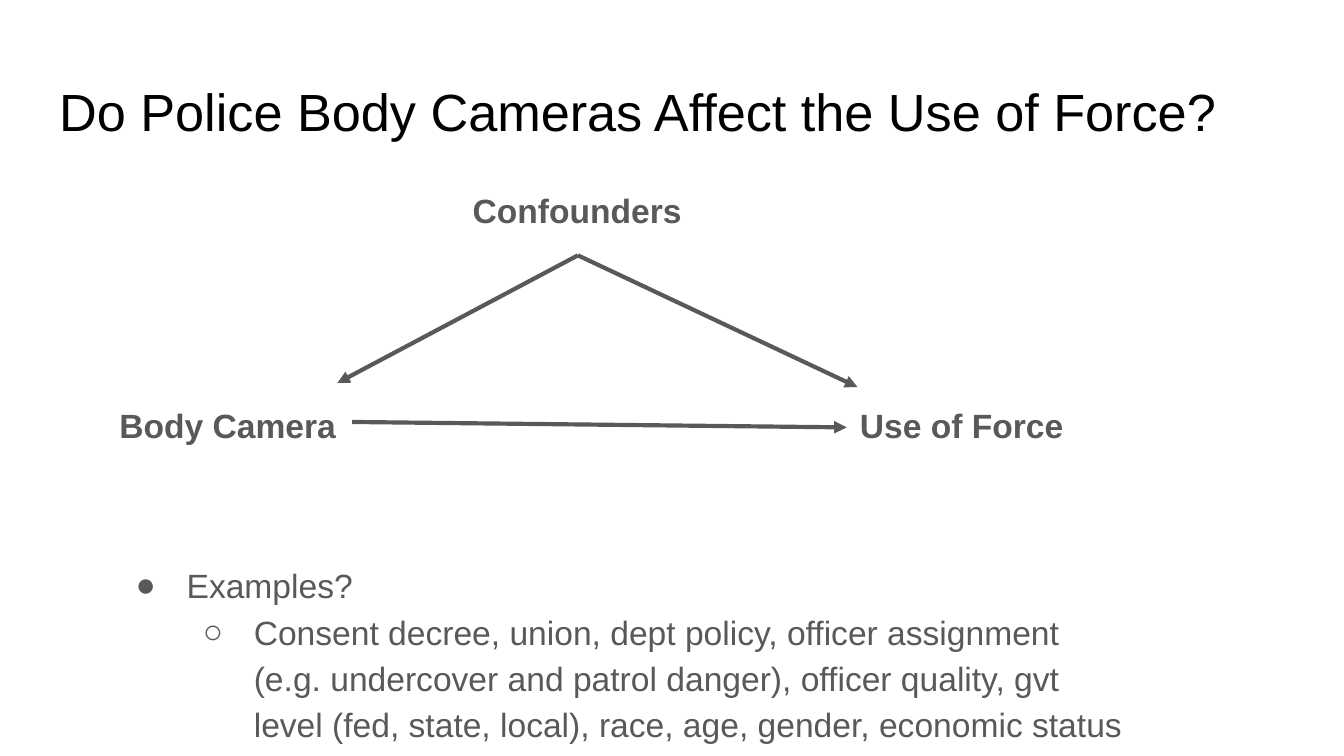
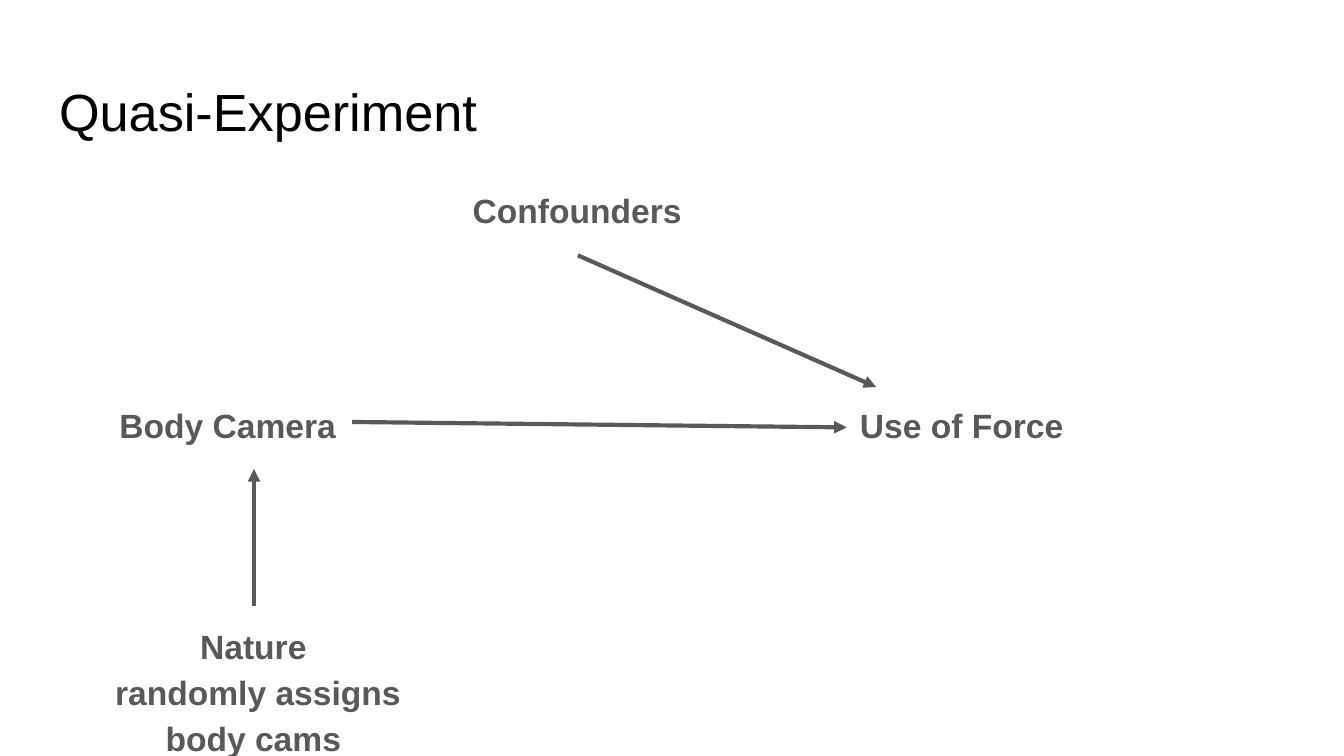
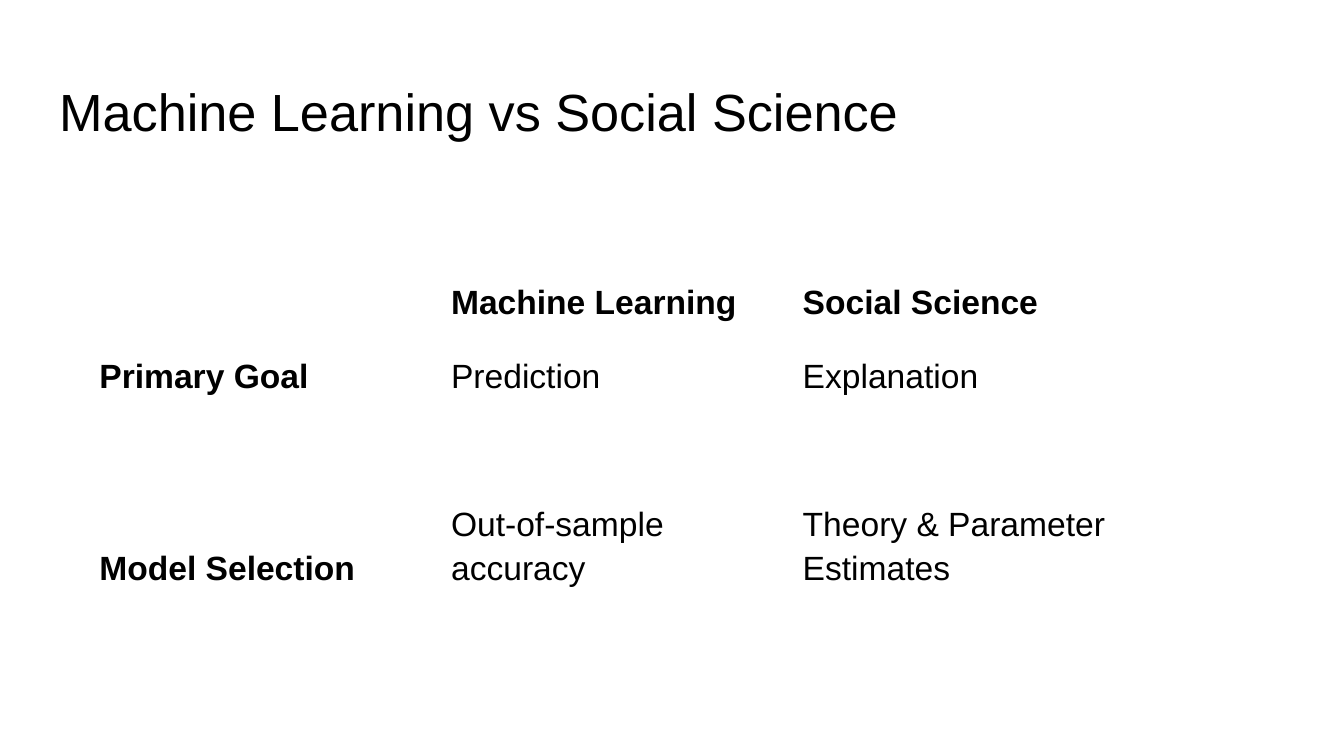
from dataclasses import dataclass

import lxml.etree
import pptx
import pptx.dml.color
import pptx.enum.shapes
import pptx.enum.text
import pptx.oxml.ns
import pptx.presentation
import pptx.shapes.autoshape
import pptx.slide
import pptx.text.text
import pptx.util
from pptx.util import Inches

BLACK = pptx.dml.color.RGBColor(0x00, 0x00, 0x00)
GREY = pptx.dml.color.RGBColor(0x59, 0x59, 0x59)
FONT = "Arial"
TITLE_SIZE = 28
BODY_SIZE = 18
LINE_SPACING = 1.15
TITLE_ONLY = 5
SLIDE_WIDTH = Inches(10)
SLIDE_HEIGHT = SLIDE_WIDTH * 9 // 16
LEFT = pptx.enum.text.PP_ALIGN.LEFT
CENTER = pptx.enum.text.PP_ALIGN.CENTER


@dataclass(frozen=True)
class Label:
    """A bold node of a causal diagram; each line after the first follows a break."""
    lines: tuple[str, ...]
    left: float
    top: float
    width: float = 2.19
    align: pptx.enum.text.PP_ALIGN = LEFT


@dataclass(frozen=True)
class Arrow:
    """A causal arrow from a start point to an end point, in inches."""
    start: tuple[float, float]
    end: tuple[float, float]


@dataclass(frozen=True)
class Bullet:
    """A list item with its nesting level."""
    text: str
    level: int = 0


BULLET_SIGNS = ("●", "○")

CONFOUNDERS_FOOT = (4.3, 1.9)
SHARED_LABELS = (
    Label(("Body Camera",), 0.79, 2.87),
    Label(("Use of Force",), 6.3, 2.87),
    Label(("Confounders",), 3.2, 1.27, align=CENTER),
)
CAMERA_TO_FORCE = Arrow((2.62, 3.14), (6.3, 3.18))
NATURE = Label(("Nature", " randomly assigns body cams"), 0.62, 4.51, 2.53, CENTER)

EXAMPLES = (
    Bullet("Examples?"),
    Bullet("Consent decree, union, dept policy, officer assignment "
           "(e.g. undercover and patrol danger), officer quality, gvt level "
           "(fed, state, local), race, age, gender, economic status", 1),
)

COMPARISON = (
    ("", "Machine Learning", "Social Science"),
    ("Primary Goal", "Prediction", "Explanation"),
    ("Model Selection", "Out-of-sample accuracy", "Theory & Parameter Estimates"),
)
ROW_HEIGHTS = (0.99, 0.55, 1.43)
COMPARISON_WIDTH = 7.85


def add_run(paragraph: pptx.text.text._Paragraph, text: str, size: int,
            color: pptx.dml.color.RGBColor, bold: bool = False) -> None:
    """Append one formatted run."""
    run = paragraph.add_run()
    run.text = text
    run.font.name = FONT
    run.font.size = pptx.util.Pt(size)
    run.font.color.rgb = color
    run.font.bold = bold


def prepare_frame(shape: pptx.shapes.autoshape.Shape) -> pptx.text.text.TextFrame:
    """Give a text shape the shared insets, wrapping and top anchor."""
    frame = shape.text_frame
    frame.word_wrap = True
    frame.auto_size = pptx.enum.text.MSO_AUTO_SIZE.NONE
    frame.vertical_anchor = pptx.enum.text.MSO_ANCHOR.TOP
    frame.margin_left = frame.margin_right = Inches(0.1)
    frame.margin_top = frame.margin_bottom = Inches(0.1)
    return frame


def add_titled_slide(deck: pptx.presentation.Presentation,
                     heading: str) -> pptx.slide.Slide:
    """Add a slide with the shared title style."""
    slide = deck.slides.add_slide(deck.slide_layouts[TITLE_ONLY])
    title = slide.shapes.title
    title.left, title.top = Inches(0.34), Inches(0.49)
    title.width, title.height = Inches(9.32), Inches(0.63)
    paragraph = prepare_frame(title).paragraphs[0]
    paragraph.alignment = LEFT
    add_run(paragraph, heading, TITLE_SIZE, BLACK)
    return slide


def add_label(slide: pptx.slide.Slide, label: Label) -> None:
    """Draw one diagram node."""
    box = slide.shapes.add_textbox(Inches(label.left), Inches(label.top),
                                   Inches(label.width), Inches(0.63))
    paragraph = prepare_frame(box).paragraphs[0]
    paragraph.alignment = label.align
    paragraph.line_spacing = LINE_SPACING
    paragraph.space_after = pptx.util.Pt(16)
    for number, line in enumerate(label.lines):
        if number:
            paragraph.add_line_break()
        add_run(paragraph, line, BODY_SIZE, GREY, bold=True)


def add_arrow(slide: pptx.slide.Slide, arrow: Arrow) -> None:
    """Draw one arrow with a triangular head and no shadow."""
    connector = slide.shapes.add_connector(
        pptx.enum.shapes.MSO_CONNECTOR.STRAIGHT,
        *(Inches(value) for value in arrow.start + arrow.end))
    connector.line.color.rgb = GREY
    connector.line.width = pptx.util.Pt(2.25)
    qn = pptx.oxml.ns.qn
    properties = connector._element.spPr
    lxml.etree.SubElement(properties.find(qn("a:ln")), qn("a:tailEnd"), type="triangle")
    lxml.etree.SubElement(properties, qn("a:effectLst"))


def add_diagram(slide: pptx.slide.Slide, labels: tuple[Label, ...],
                arrows: tuple[Arrow, ...]) -> None:
    """Draw the nodes and arrows of a causal diagram."""
    for label in labels:
        add_label(slide, label)
    for arrow in arrows:
        add_arrow(slide, arrow)


def add_bullets(slide: pptx.slide.Slide, bullets: tuple[Bullet, ...]) -> None:
    """Draw the nested list below the diagram."""
    box = slide.shapes.add_textbox(Inches(0.79), Inches(4.06), Inches(7.69), Inches(1.28))
    frame = prepare_frame(box)
    qn = pptx.oxml.ns.qn
    for number, bullet in enumerate(bullets):
        paragraph = frame.add_paragraph() if number else frame.paragraphs[0]
        paragraph.level = bullet.level
        paragraph.line_spacing = LINE_SPACING
        add_run(paragraph, bullet.text, BODY_SIZE, GREY)
        properties = paragraph._p.get_or_add_pPr()
        properties.set("marL", str(Inches(0.5 * (bullet.level + 1))))
        properties.set("indent", str(Inches(-0.38)))
        sign_color = lxml.etree.SubElement(properties, qn("a:buClr"))
        lxml.etree.SubElement(sign_color, qn("a:srgbClr"), val=str(GREY))
        lxml.etree.SubElement(properties, qn("a:buFont"), typeface=FONT)
        lxml.etree.SubElement(properties, qn("a:buChar"), char=BULLET_SIGNS[bullet.level])


def add_comparison(slide: pptx.slide.Slide) -> None:
    """Draw the plain table, with bold row and column headings."""
    columns = len(COMPARISON[0])
    table = slide.shapes.add_table(
        len(COMPARISON), columns, Inches(0.71), Inches(1.42),
        Inches(COMPARISON_WIDTH), Inches(sum(ROW_HEIGHTS))).table
    table.first_row = table.horz_banding = False
    for row, (height, entries) in enumerate(zip(ROW_HEIGHTS, COMPARISON)):
        table.rows[row].height = Inches(height)
        for column, entry in enumerate(entries):
            cell = table.cell(row, column)
            cell.fill.background()
            cell.vertical_anchor = pptx.enum.text.MSO_ANCHOR.BOTTOM
            cell.margin_left = cell.margin_right = Inches(0.03)
            cell.margin_top = cell.margin_bottom = Inches(0.02)
            if entry:
                paragraph = cell.text_frame.paragraphs[0]
                paragraph.line_spacing = LINE_SPACING
                add_run(paragraph, entry, BODY_SIZE, BLACK, bold=row == 0 or column == 0)


def main() -> None:
    """Build and save the three slides."""
    deck = pptx.Presentation()
    deck.slide_width, deck.slide_height = SLIDE_WIDTH, SLIDE_HEIGHT

    question = add_titled_slide(deck, "Do Police Body Cameras Affect the Use of Force?")
    add_diagram(question, SHARED_LABELS, (
        CAMERA_TO_FORCE,
        Arrow(CONFOUNDERS_FOOT, (6.38, 2.88)),
        Arrow(CONFOUNDERS_FOOT, (2.51, 2.85)),
    ))
    add_bullets(question, EXAMPLES)

    experiment = add_titled_slide(deck, "Quasi-Experiment")
    add_diagram(experiment, SHARED_LABELS + (NATURE,), (
        CAMERA_TO_FORCE,
        Arrow((1.89, 4.51), (1.89, 3.49)),
        Arrow(CONFOUNDERS_FOOT, (6.52, 2.88)),
    ))

    add_comparison(add_titled_slide(deck, "Machine Learning vs Social Science"))
    deck.save("out.pptx")


main()
